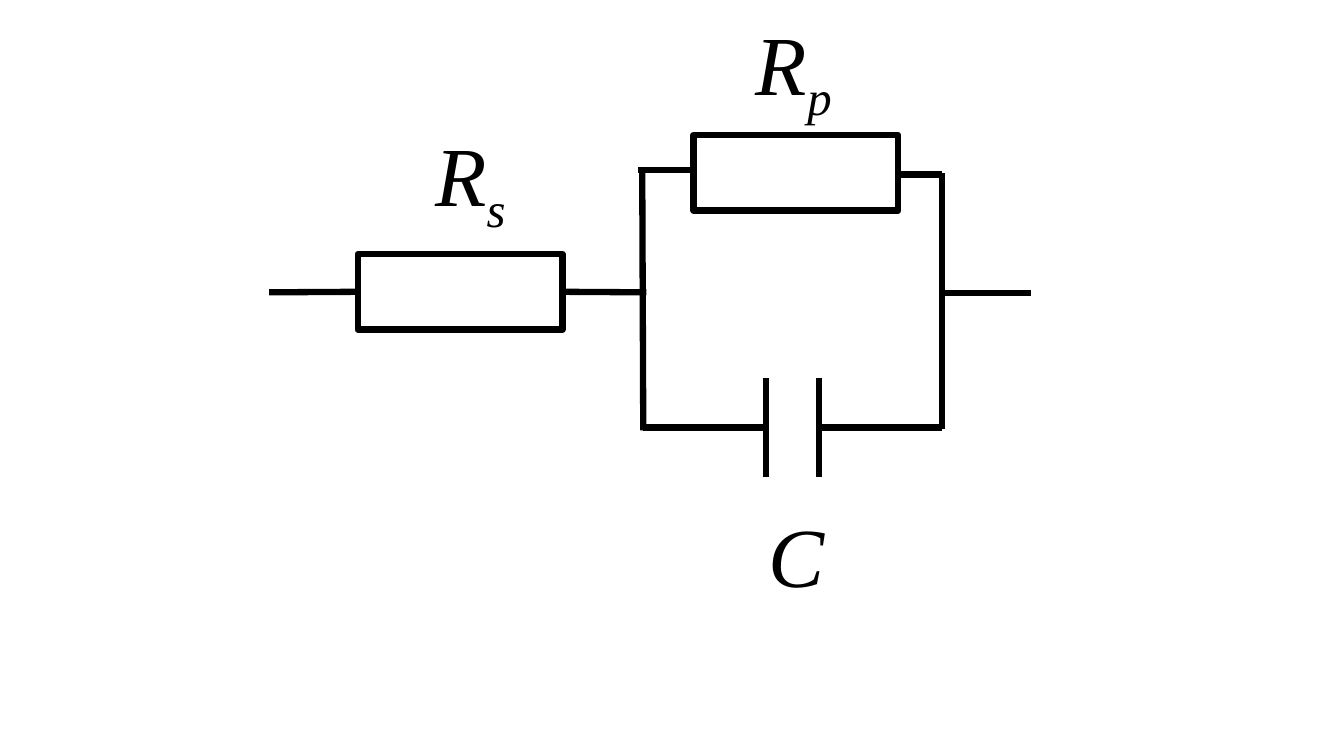
from dataclasses import dataclass

from lxml import etree
from pptx import Presentation
from pptx.dml.color import RGBColor
from pptx.enum.shapes import MSO_CONNECTOR, MSO_SHAPE
from pptx.enum.text import MSO_AUTO_SIZE
from pptx.oxml.ns import qn
from pptx.util import Inches, Pt

STRAIGHT = MSO_CONNECTOR.STRAIGHT
RECTANGLE = MSO_SHAPE.RECTANGLE
FIT_SHAPE = MSO_AUTO_SIZE.SHAPE_TO_FIT_TEXT
LEFT_SIDE, RIGHT_SIDE = 1, 3


@dataclass(frozen=True)
class Theme:
    ink: RGBColor = RGBColor(0x00, 0x00, 0x00)
    paper: RGBColor = RGBColor(0xFF, 0xFF, 0xFF)
    font: str = "Times New Roman"
    symbol_size: Pt = Pt(60)
    wire_width: Pt = Pt(4.5)


theme = Theme()
presentation = Presentation()
presentation.slide_width = Inches(13.33)
presentation.slide_height = Inches(7.5)
slide = presentation.slides.add_slide(presentation.slide_layouts[6])


def add_wire(start, end):
    wire = slide.shapes.add_connector(STRAIGHT, *map(Inches, start + end))
    wire.line.color.rgb = theme.ink
    wire.line.width = theme.wire_width
    etree.SubElement(wire._element.spPr, qn("a:effectLst"))
    return wire


def add_symbol(text, left, top, width, height=1.11, subscript="", baseline=-25):
    box = slide.shapes.add_textbox(*map(Inches, (left, top, width, height)))
    box.text_frame.word_wrap = False
    box.text_frame.auto_size = FIT_SHAPE
    paragraph = box.text_frame.paragraphs[0]
    for part in filter(None, (text, subscript)):
        run = paragraph.add_run()
        run.text = part
        run.font.name = theme.font
        run.font.size = theme.symbol_size
        run.font.italic = True
        run.font.color.rgb = theme.ink
        if part == subscript:
            run._r.get_or_add_rPr().set("baseline", f"{baseline * 1000}")


resistor_width, resistor_height = 2.03, 0.75
series_left, series_top = 3.55, 2.52
parallel_left, parallel_top = 6.88, 1.34
input_column, left_column, right_column, output_column = 2.67, 6.38, 9.34, 10.23
left_plate, right_plate = 7.6, 8.12
middle_row, bottom_row = 2.9, 4.24
left_top_row, right_top_row = 1.69, 1.73
plate_half = 0.49

add_wire((8.53, right_top_row), (right_column, right_top_row))
add_wire((6.33, left_top_row), (7.16, left_top_row))

resistors = []
for left, top in ((series_left, series_top), (parallel_left, parallel_top)):
    resistor = slide.shapes.add_shape(
        RECTANGLE, *map(Inches, (left, top, resistor_width, resistor_height)))
    resistor.shadow.inherit = False
    resistor.fill.solid()
    resistor.fill.fore_color.rgb = theme.paper
    resistor.line.color.rgb = theme.ink
    resistor.line.width = theme.wire_width
    resistors.append(resistor)
series_resistor = resistors[0]

series_output = add_wire((series_left + resistor_width, middle_row), (6.41, middle_row))
series_output.begin_connect(series_resistor, RIGHT_SIDE)
series_input = add_wire((input_column, middle_row), (series_left, middle_row))
series_input.end_connect(series_resistor, LEFT_SIDE)

for plate in (left_plate, right_plate):
    add_wire((plate, bottom_row - plate_half), (plate, bottom_row + plate_half))

for start, end in (
    ((left_column, bottom_row), (left_plate, bottom_row)),
    ((right_plate, bottom_row), (right_column, bottom_row)),
    ((right_column, 4.26), (right_column, 1.72)),
    ((left_column, 4.27), (6.37, left_top_row)),
    ((right_column, 2.91), (output_column, 2.91)),
):
    add_wire(start, end)

add_symbol("R", 4.22, 1.17, 0.93, subscript="s")
add_symbol("R", 7.4, 0.06, 1, subscript="p")
add_symbol("C", 7.52, 4.95, 0.76)

presentation.save("out.pptx")
